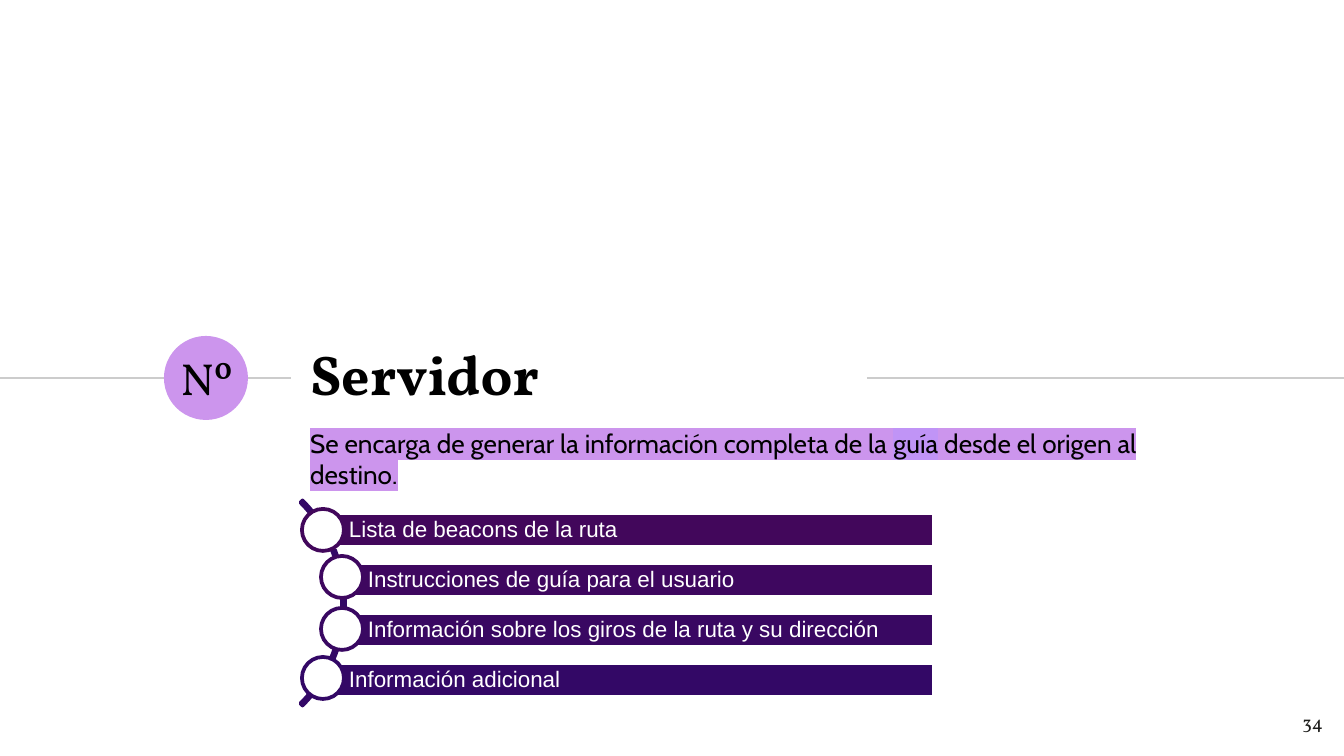
from dataclasses import dataclass

from lxml import etree
from pptx import Presentation
from pptx import util as u
from pptx.dml.color import RGBColor
from pptx.enum import shapes, text
from pptx.oxml.ns import qn

PX = 914400 / 134.4


@dataclass(frozen=True)
class Theme:
    black: str = "000000"
    white: str = "FFFFFF"
    rule: str = "CCCCCC"
    lilac: str = "CC95ED"
    lilac_blue: str = "C094F6"
    page_ink: str = "1D1D1B"
    arc: str = "330866"
    serif: str = "Vollkorn"
    sans: str = "Cabin"
    list_font: str = "Arial"
    title: int = 30
    badge: int = 24
    body: int = 14
    item: int = 12
    page_number: int = 10


@dataclass(frozen=True)
class Box:
    left: int
    top: int
    width: int
    height: int

    def emu(self) -> list[int]:
        return [px(n) for n in (self.left, self.top, self.width, self.height)]


@dataclass(frozen=True)
class Item:
    label: str
    color: str
    indent: int
    dot_top: int


THEME = Theme()
ITEMS = [
    Item("Lista de beacons de la ruta", "42075B", 0, 509),
    Item("Instrucciones de guía para el usuario", "3E075F", 19, 556),
    Item("Información sobre los giros de la ruta y su dirección", "390862", 19, 608),
    Item("Información adicional", "330866", 0, 657),
]
BAR_LEFT, BAR_RIGHT, BAR_TOP, BAR_HEIGHT, BAR_STEP = 323, 934, 513, 34, 50
DOT_LEFT, DOT_SIZE = 302, 42


def px(count: int) -> int:
    return round(count * PX)


def rgb(code: str) -> RGBColor:
    return RGBColor.from_string(code)


def set_all(target, values: dict) -> None:
    for name, value in values.items():
        setattr(target, name, value)


def format_frame(frame, anchor, left: int = 13, other: int = 13) -> None:
    set_all(frame, {
        "word_wrap": True, "auto_size": text.MSO_AUTO_SIZE.NONE,
        "vertical_anchor": anchor, "margin_left": px(left),
        "margin_top": px(other), "margin_right": px(other),
        "margin_bottom": px(other),
    })


def add_span(para, words: str, font: str, size: int, color: str, bold: bool = False):
    span = para.add_run()
    span.text = words
    set_all(span.font, {"name": font, "size": u.Pt(size), "bold": bold})
    span.font.color.rgb = rgb(color)
    return span


def highlight(span, color: str) -> None:
    mark = etree.Element(qn("a:highlight"))
    etree.SubElement(mark, qn("a:srgbClr"), val=color)
    span.font._element.find(qn("a:solidFill")).addnext(mark)


def add_text_box(page, box: Box, anchor, align):
    frame = page.shapes.add_textbox(*box.emu()).text_frame
    format_frame(frame, anchor)
    para = frame.paragraphs[0]
    para.alignment = align
    return para


def add_shape(page, kind, box: Box, fill: str | None, line: str | None):
    shape = page.shapes.add_shape(kind, *box.emu())
    shape.shadow.inherit = False
    if fill:
        shape.fill.solid()
        shape.fill.fore_color.rgb = rgb(fill)
    else:
        shape.fill.background()
    if line:
        shape.line.color.rgb = rgb(line)
        shape.line.width = u.Pt(2)
    else:
        shape.line.fill.background()
    return shape


def add_rule(page, start: int, end: int, y: int) -> None:
    rule = page.shapes.add_connector(
        shapes.MSO_CONNECTOR.STRAIGHT, px(start), px(y), px(end), px(y))
    rule.line.color.rgb = rgb(THEME.rule)
    rule.line.width = u.Pt(0.75)
    etree.SubElement(rule._element.spPr, qn("a:effectLst"))


def add_item(page, item: Item, index: int) -> None:
    left = BAR_LEFT + item.indent
    bar = add_shape(
        page, shapes.MSO_SHAPE.RECTANGLE,
        Box(left, BAR_TOP + index * BAR_STEP, BAR_RIGHT - left, BAR_HEIGHT),
        item.color, THEME.white)
    format_frame(bar.text_frame, text.MSO_ANCHOR.MIDDLE, left=26, other=4)
    para = bar.text_frame.paragraphs[0]
    set_all(para, {"alignment": text.PP_ALIGN.LEFT, "line_spacing": 0.9})
    add_span(para, item.label, THEME.list_font, THEME.item, THEME.white)
    add_shape(page, shapes.MSO_SHAPE.OVAL,
              Box(DOT_LEFT + item.indent, item.dot_top, DOT_SIZE, DOT_SIZE),
              THEME.white, item.color)


def main() -> None:
    deck = Presentation()
    set_all(deck, {"slide_width": px(1344), "slide_height": px(756)})
    page = deck.slides.add_slide(deck.slide_layouts[5])
    align, anchor = text.PP_ALIGN, text.MSO_ANCHOR

    # Rules and number badge
    add_rule(page, 0, 291, 378)
    add_rule(page, 867, 1344, 378)
    add_shape(page, shapes.MSO_SHAPE.OVAL, Box(164, 336, 84, 84), THEME.lilac, None)
    badge = add_text_box(page, Box(167, 337, 79, 82), anchor.MIDDLE, align.CENTER)
    add_span(badge, "Nº", THEME.serif, THEME.badge, THEME.black)

    # Title
    title = page.shapes.title
    set_all(title, dict(zip(("left", "top", "width", "height"),
                            Box(297, 249, 556, 171).emu())))
    format_frame(title.text_frame, anchor.BOTTOM)
    para = title.text_frame.paragraphs[0]
    para.alignment = align.LEFT
    add_span(para, "Servidor", THEME.serif, THEME.title, THEME.black, bold=True)

    # Highlighted description with a hanging indent
    para = add_text_box(page, Box(297, 414, 880, 82), anchor.TOP, align.LEFT)
    set_all(para._p.get_or_add_pPr(), {"marL": px(67), "indent": px(-56)})
    for words, color in (
        ("Se encarga de generar la información completa de la ", THEME.lilac),
        ("guía", THEME.lilac_blue),
        (" desde el origen al destino.", THEME.lilac),
    ):
        highlight(add_span(para, words, THEME.sans, THEME.body, THEME.black), color)

    # Curved list
    arc = add_shape(page, shapes.MSO_SHAPE.BLOCK_ARC, Box(55, 458, 290, 290),
                    None, THEME.arc)
    for index, value in enumerate((189, 27, 0.01)):
        arc.adjustments[index] = value
    for index, item in enumerate(ITEMS):
        add_item(page, item, index)

    # Page number
    number = add_text_box(page, Box(1255, 698, 81, 58), anchor.TOP, align.RIGHT)
    add_span(number, "34", THEME.serif, THEME.page_number, THEME.page_ink)

    deck.save("out.pptx")


if __name__ == "__main__":
    main()
